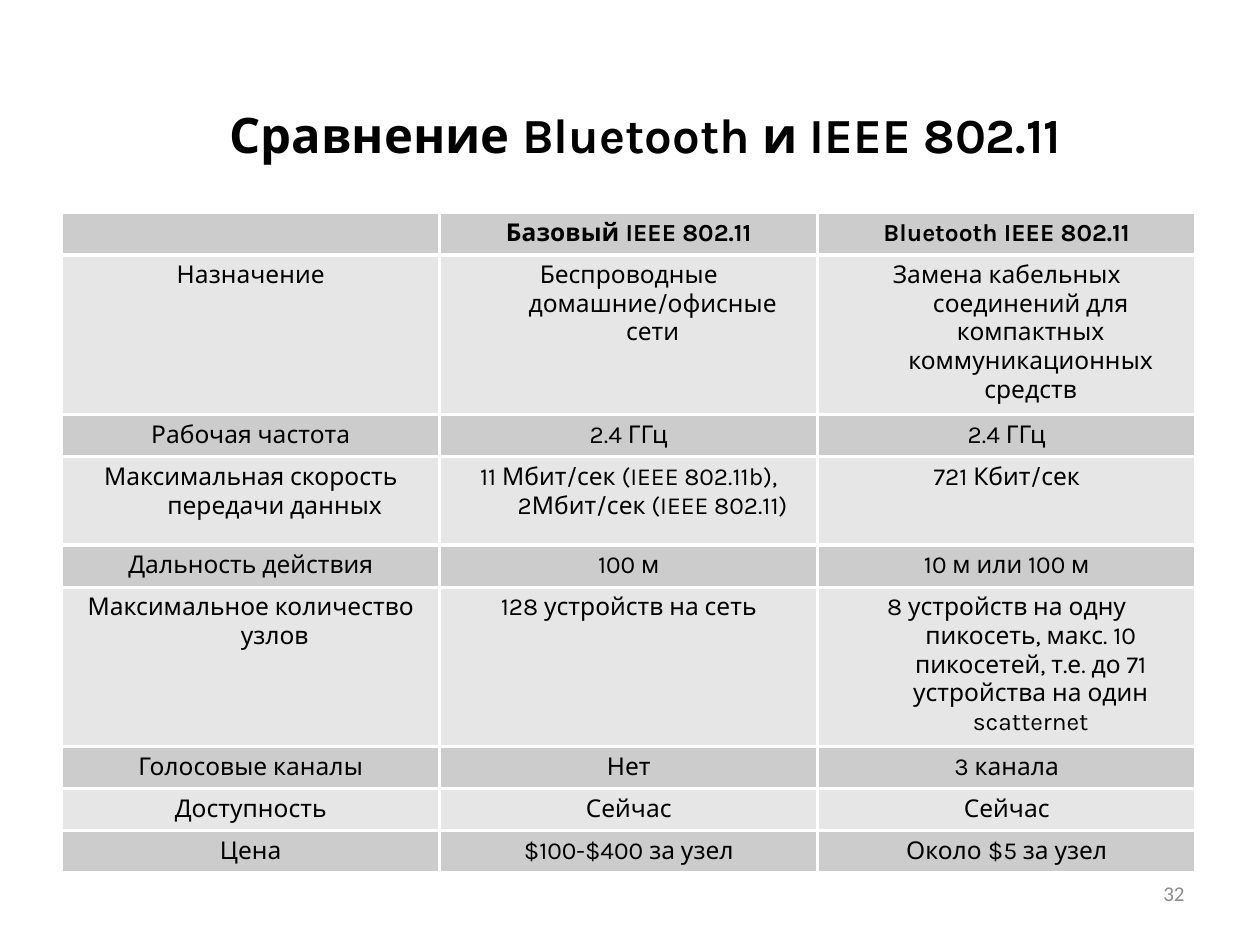
from lxml import etree
from pptx import Presentation
from pptx.dml.color import RGBColor
from pptx.enum.text import MSO_ANCHOR, PP_ALIGN
from pptx.oxml.ns import qn
from pptx.util import Inches, Pt

BLACK = RGBColor(0x00, 0x00, 0x00)
GRAY = RGBColor(0x8C, 0x8C, 0x8C)
DARK_BAND = RGBColor(0xCC, 0xCC, 0xCC)
LIGHT_BAND = RGBColor(0xE6, 0xE6, 0xE6)
WHITE = RGBColor(0xFF, 0xFF, 0xFF)

ROWS = [
    (0.25, "", "Базовый IEEE 802.11", "Bluetooth IEEE 802.11"),
    (1.09, "Назначение", "Беспроводные домашние/офисные сети",
     "Замена кабельных соединений для компактных коммуникационных средств"),
    (0.3, "Рабочая частота", "2.4 ГГц", "2.4 ГГц"),
    (0.7, "Максимальная скорость передачи данных",
     "11 Мбит/сек (IEEE 802.11b), 2Мбит/сек (IEEE 802.11)", "721 Кбит/сек"),
    (0.3, "Дальность действия", "100 м", "10 м или 100 м"),
    (1.1, "Максимальное количество узлов", "128 устройств на сеть",
     "8 устройств на одну пикосеть, макс. 10 пикосетей, т.е. до 71 "
     "устройства на один scatternet"),
    (0.3, "Голосовые каналы", "Нет", "3 канала"),
    (0.3, "Доступность", "Сейчас", "Сейчас"),
    (0.3, "Цена", "$100-$400 за узел", "Около $5 за узел"),
]


def write(frame, content, size=14, font="Karla", color=BLACK, bold=False,
          align=PP_ALIGN.CENTER, hanging=0):
    """Fill the first paragraph; hanging is its hanging indent in inches."""
    paragraph = frame.paragraphs[0]
    paragraph.alignment = align
    if hanging:
        properties = paragraph._p.get_or_add_pPr()
        properties.set("marL", str(Inches(hanging)))
        properties.set("indent", str(-Inches(hanging)))
    if not content:
        # An empty cell takes its line height from the end mark.
        etree.SubElement(paragraph._p, qn("a:endParaRPr"), sz=str(size * 100))
        return
    run = paragraph.add_run()
    run.text = content
    run.font.size = Pt(size)
    run.font.name = font
    run.font.bold = bold
    run.font.color.rgb = color


def add_borders(cell, color, width):
    properties = cell._tc.get_or_add_tcPr()
    for side in ("a:lnL", "a:lnR", "a:lnT", "a:lnB"):
        line = etree.SubElement(properties, qn(side), w=str(Pt(width)))
        fill = etree.SubElement(line, qn("a:solidFill"))
        etree.SubElement(fill, qn("a:srgbClr"), val=str(color))


prs = Presentation()
prs.slide_width = Inches(10)
prs.slide_height = Inches(7.5)
slide = prs.slides.add_slide(prs.slide_layouts[6])

page_number = slide.shapes.add_textbox(
    Inches(7.17), Inches(6.83), Inches(2.33), Inches(0.52)).text_frame
page_number.word_wrap = True
page_number.vertical_anchor = MSO_ANCHOR.MIDDLE
write(page_number, "32", size=12, font="Calibri", color=GRAY, align=PP_ALIGN.RIGHT)

title = slide.shapes.add_textbox(
    Inches(0.67), Inches(0.44), Inches(9), Inches(1.25)).text_frame
title.word_wrap = True
title.vertical_anchor = MSO_ANCHOR.MIDDLE
write(title, "Сравнение Bluetooth и IEEE 802.11 ", size=28, bold=True)

comparison = slide.shapes.add_table(
    len(ROWS), 3, Inches(0.49), Inches(1.69), Inches(9),
    Inches(sum(row[0] for row in ROWS))).table
for r, (height, *contents) in enumerate(ROWS):
    comparison.rows[r].height = Inches(height)
    for c, content in enumerate(contents):
        cell = comparison.cell(r, c)
        add_borders(cell, WHITE, 2)
        cell.fill.solid()
        cell.fill.fore_color.rgb = LIGHT_BAND if r % 2 else DARK_BAND
        write(cell.text_frame, content, bold=r == 0, hanging=0.38)

prs.save("out.pptx")
